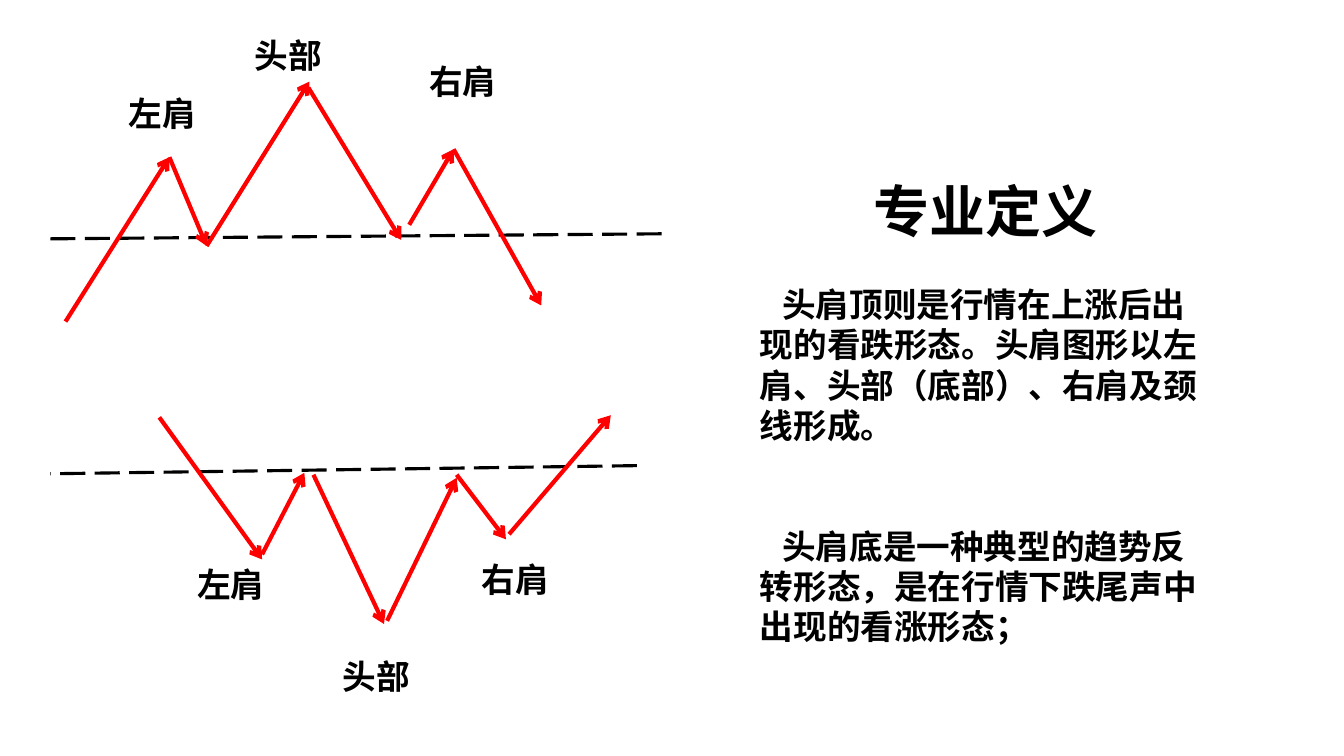
from lxml.etree import SubElement
from pptx import Presentation
from pptx.dml.color import RGBColor
from pptx.enum.dml import MSO_LINE
from pptx.enum.shapes import MSO_CONNECTOR
from pptx.enum.text import MSO_AUTO_SIZE, PP_ALIGN
from pptx.oxml.ns import qn
from pptx.util import Pt

BLACK = RGBColor(0x00, 0x00, 0x00)
RED = RGBColor(0xFF, 0x00, 0x00)
FONT = "Noto Sans CJK SC"
LINE_RATIO = 1.2
BODY_SIZE = 24
BODY_LINE = BODY_SIZE * LINE_RATIO
FIRST_LINE_INDENT = 16
LABEL_SIZE = (62.6, 36)

TITLE = "专业定义"
# (text, blank lines above)
DEFINITIONS = [
    ("头肩顶则是行情在上涨后出现的看跌形态。头肩图形以左肩、头部（底部）、右肩及颈线形成。", 1),
    ("头肩底是一种典型的趋势反转形态，是在行情下跌尾声中出现的看涨形态；", 2),
]
DEFINITION_BOX = (535.7, 122.4, 336.2, 417.6)

# Lines are (start x, start y, end x, end y)
HEAD_AND_SHOULDERS_TOP = {
    "neckline": (36, 170.6, 473, 167),
    "moves": [
        (46.8, 229.7, 121, 112.3),
        (121, 112.3, 147.6, 175.7),
        (147.6, 175.7, 221, 58.3),
        (220.3, 62.6, 286.6, 171.4),
        (292.3, 160.6, 324, 106.6),
        (324, 106.6, 386.6, 218.2),
    ],
    "labels": [("左肩", 85, 62.6), ("头部", 175, 21.6), ("右肩", 299.5, 40.3)],
}
HEAD_AND_SHOULDERS_BOTTOM = {
    "neckline": (455, 332.6, 36, 338.4),
    "moves": [
        (113.8, 298.1, 187.2, 399.6),
        (187.2, 396, 217.4, 337.7),
        (223.9, 339.1, 274.3, 445.7),
        (276.5, 443.5, 326.2, 341.3),
        (326.2, 339.1, 361.4, 385.2),
        (363.6, 381.6, 436.3, 296.6),
    ],
    "labels": [("左肩", 133.9, 399.6), ("头部", 237.6, 465.1), ("右肩", 337, 396)],
}


def add_line(shapes, ends, color, width):
    line = shapes.add_connector(MSO_CONNECTOR.STRAIGHT, *map(Pt, ends))
    line.line.color.rgb = color
    line.line.width = Pt(width)
    SubElement(line._element.spPr, qn("a:effectLst"))
    return line


def add_text(para, text, size):
    """Fill a paragraph with one bold run on a fixed line height."""
    para.line_spacing = Pt(size * LINE_RATIO)
    span = para.add_run()
    span.text = text
    span.font.name = FONT
    span.font.size = Pt(size)
    span.font.bold = True
    span.font.color.rgb = BLACK
    SubElement(span.font._element, qn("a:ea"), typeface=FONT)


def add_pattern(page, pattern):
    shapes = page.shapes.add_group_shape().shapes
    neckline = add_line(shapes, pattern["neckline"], BLACK, 2.25)
    neckline.line.dash_style = MSO_LINE.LONG_DASH
    for ends in pattern["moves"]:
        move = add_line(shapes, ends, RED, 3)
        SubElement(move.line._get_or_add_ln(), qn("a:tailEnd"), type="arrow")
    for text, left, top in pattern["labels"]:
        box = shapes.add_textbox(*map(Pt, (left, top, *LABEL_SIZE)))
        box.text_frame.word_wrap = False
        box.text_frame.auto_size = MSO_AUTO_SIZE.SHAPE_TO_FIT_TEXT
        add_text(box.text_frame.paragraphs[0], text, BODY_SIZE)


def add_definitions(page):
    frame = page.shapes.add_textbox(*map(Pt, DEFINITION_BOX)).text_frame
    frame.word_wrap = True
    heading = frame.paragraphs[0]
    heading.alignment = PP_ALIGN.CENTER
    add_text(heading, TITLE, 40)
    for text, blank_lines in DEFINITIONS:
        para = frame.add_paragraph()
        para.space_before = Pt(blank_lines * BODY_LINE)
        para._p.get_or_add_pPr().set("indent", str(Pt(FIRST_LINE_INDENT)))
        add_text(para, text, BODY_SIZE)


def main():
    deck = Presentation()
    deck.slide_width, deck.slide_height = Pt(960), Pt(540)
    page = deck.slides.add_slide(deck.slide_layouts[6])
    add_definitions(page)
    for pattern in (HEAD_AND_SHOULDERS_TOP, HEAD_AND_SHOULDERS_BOTTOM):
        add_pattern(page, pattern)
    deck.save("out.pptx")


if __name__ == "__main__":
    main()
